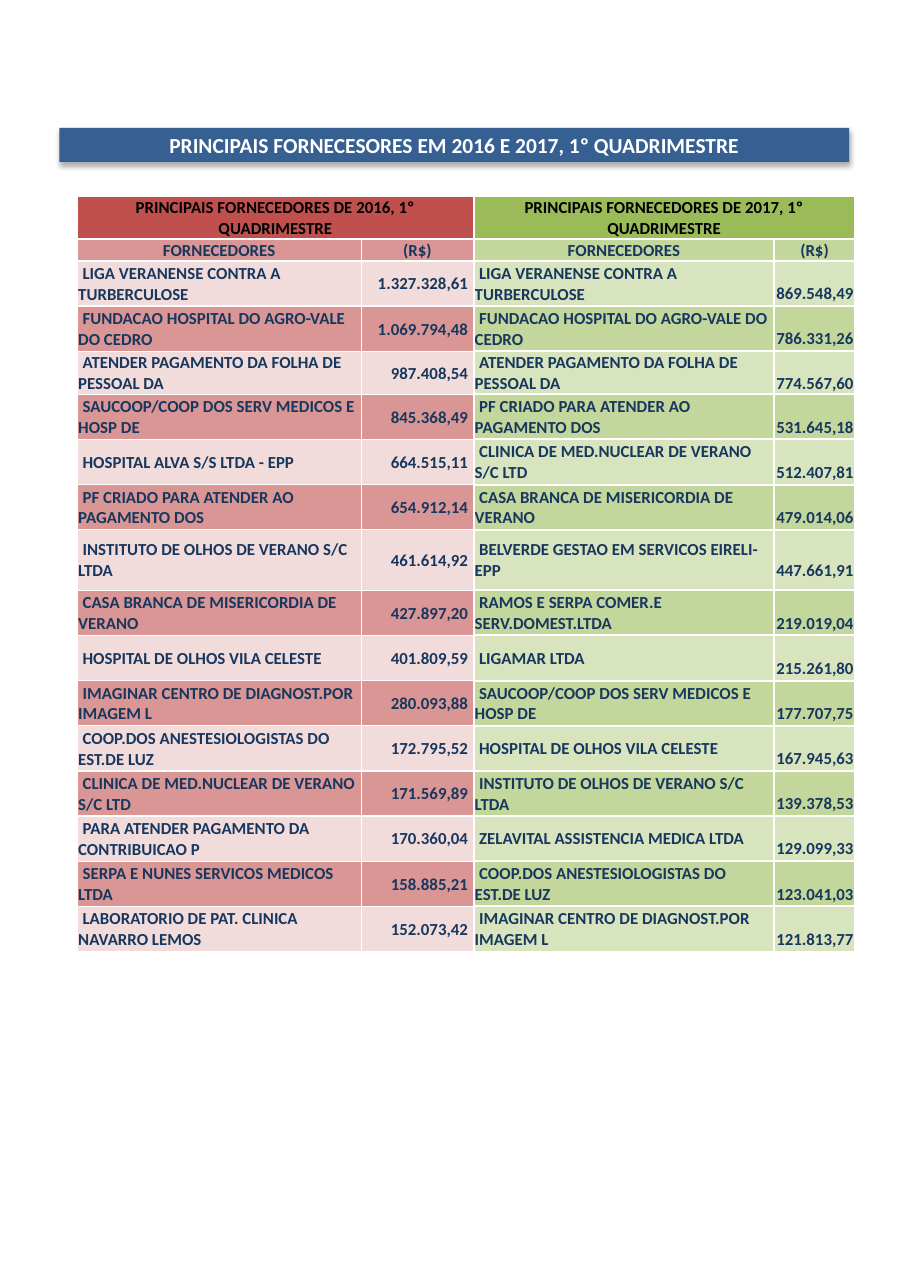
from lxml import etree
from pptx import Presentation
from pptx.dml.color import RGBColor as RGB
from pptx.enum.shapes import MSO_SHAPE as SHAPE
from pptx.enum.text import MSO_ANCHOR as ANCHOR, PP_ALIGN as ALIGN
from pptx.oxml.ns import qn
from pptx.util import Inches, Pt

WHITE, BLACK, NAVY = "FFFFFF", "000000", "17375E"
WIDTHS = [2.58, 1.02, 2.73, 0.73]
TALL = {0: 0.39, 1: 0.19, 4: 0.39, 8: 0.55}
HEADS = [
    ("PRINCIPAIS FORNECEDORES DE 2016, 1º QUADRIMESTRE", "C0504D"),
    ("PRINCIPAIS FORNECEDORES DE 2017, 1º QUADRIMESTRE", "9BBB59"),
]
BANDS = [("F2DCDB", "D99694"), ("D7E4BD", "C3D69B")]
ROWS = [
    ("LIGA VERANENSE CONTRA A TURBERCULOSE", "1.327.328,61",
     "LIGA VERANENSE CONTRA A TURBERCULOSE", "869.548,49"),
    ("FUNDACAO HOSPITAL DO AGRO-VALE DO CEDRO", "1.069.794,48",
     "FUNDACAO HOSPITAL DO AGRO-VALE DO CEDRO", "786.331,26"),
    ("ATENDER PAGAMENTO DA FOLHA DE PESSOAL DA", "987.408,54",
     "ATENDER PAGAMENTO DA FOLHA DE PESSOAL DA", "774.567,60"),
    ("SAUCOOP/COOP DOS SERV MEDICOS E HOSP DE", "845.368,49",
     "PF CRIADO PARA ATENDER AO PAGAMENTO DOS", "531.645,18"),
    ("HOSPITAL ALVA S/S LTDA - EPP", "664.515,11",
     "CLINICA DE MED.NUCLEAR DE VERANO S/C LTD", "512.407,81"),
    ("PF CRIADO PARA ATENDER AO PAGAMENTO DOS", "654.912,14",
     "CASA BRANCA DE MISERICORDIA DE VERANO", "479.014,06"),
    ("INSTITUTO DE OLHOS DE VERANO S/C LTDA", "461.614,92",
     "BELVERDE GESTAO EM SERVICOS EIRELI-EPP", "447.661,91"),
    ("CASA BRANCA DE MISERICORDIA DE VERANO", "427.897,20",
     "RAMOS E SERPA COMER.E SERV.DOMEST.LTDA", "219.019,04"),
    ("HOSPITAL DE OLHOS VILA CELESTE", "401.809,59",
     "LIGAMAR LTDA", "215.261,80"),
    ("IMAGINAR CENTRO DE DIAGNOST.POR IMAGEM L", "280.093,88",
     "SAUCOOP/COOP DOS SERV MEDICOS E HOSP DE", "177.707,75"),
    ("COOP.DOS ANESTESIOLOGISTAS DO EST.DE LUZ", "172.795,52",
     "HOSPITAL DE OLHOS VILA CELESTE", "167.945,63"),
    ("CLINICA DE MED.NUCLEAR DE VERANO S/C LTD", "171.569,89",
     "INSTITUTO DE OLHOS DE VERANO S/C LTDA", "139.378,53"),
    ("PARA ATENDER PAGAMENTO DA CONTRIBUICAO P", "170.360,04",
     "ZELAVITAL ASSISTENCIA MEDICA LTDA", "129.099,33"),
    ("SERPA E NUNES SERVICOS MEDICOS LTDA", "158.885,21",
     "COOP.DOS ANESTESIOLOGISTAS DO EST.DE LUZ", "123.041,03"),
    ("LABORATORIO DE PAT. CLINICA NAVARRO LEMOS", "152.073,42",
     "IMAGINAR CENTRO DE DIAGNOST.POR IMAGEM L", "121.813,77"),
]


def color(hex):
    """Turn a hex string into a colour."""
    return RGB.from_string(hex)


def paint(item, hex):
    """Give a shape or cell a solid fill."""
    item.fill.solid()
    item.fill.fore_color.rgb = color(hex)


def write(frame, text, size, hex, align):
    """Write one bold paragraph and return it."""
    para = frame.paragraphs[0]
    para.text, para.alignment = text, align
    font = para.runs[0].font
    for key, val in {"name": "Calibri", "size": Pt(size), "bold": True}.items():
        setattr(font, key, val)
    font.color.rgb = color(hex)
    return para


def node(root, tag, **attrs):
    """Add a drawing element below another."""
    return etree.SubElement(root, qn(tag), {k: str(v) for k, v in attrs.items()})


def shade(shape):
    """Give a shape a soft shadow below it."""
    shape.shadow.inherit = False
    glow = node(shape._element.spPr.find(qn("a:effectLst")), "a:outerShdw",
                blurRad=Pt(3.5), dist=Pt(2.2), dir=5400000, rotWithShape=0)
    node(node(glow, "a:srgbClr", val=BLACK), "a:alpha", val=32000)


def edge(cell, sides):
    """Draw white borders of the given widths around a cell."""
    props = cell._tc.get_or_add_tcPr()
    for spot, (side, width) in enumerate(sides.items()):
        line = etree.Element(qn(f"a:ln{side}"), {"w": str(Pt(width))})
        node(node(line, "a:solidFill"), "a:srgbClr", val=WHITE)
        props.insert(spot, line)


def fill_cell(cell, text, hex, ink=NAVY, align=ALIGN.CENTER, top=0.01, right=0.01):
    """Fill one table cell and return its paragraph."""
    form = {"margin_left": Inches(0.01), "margin_right": Inches(right),
            "margin_top": Inches(top), "margin_bottom": 0,
            "vertical_anchor": ANCHOR.MIDDLE}
    for key, val in form.items():
        setattr(cell, key, val)
    paint(cell, hex)
    return write(cell.text_frame, text, 11, ink, align)


def banner(slide, box):
    """Place the title bar."""
    bar = slide.shapes.add_shape(SHAPE.RECTANGLE, *map(Inches, box))
    paint(bar, "376092")
    bar.line.fill.background()
    shade(bar)
    bar.text_frame.word_wrap = True
    bar.text_frame.vertical_anchor = ANCHOR.MIDDLE
    write(bar.text_frame, "PRINCIPAIS FORNECESORES EM 2016 E 2017, 1º QUADRIMESTRE",
          14, WHITE, ALIGN.CENTER)


def ranking(slide, box):
    """Place the table of suppliers for both years."""
    count = len(ROWS) + 2
    grid = slide.shapes.add_table(count, len(WIDTHS), *map(Inches, box)).table
    for col, width in zip(grid.columns, WIDTHS):
        col.width = Inches(width)
    for num, row in enumerate(grid.rows):
        row.height = Inches(TALL.get(num, 0.41))
    for half, (head, hex) in enumerate(HEADS):
        name, cash = 2 * half, 2 * half + 1
        light, dark = BANDS[half]
        grid.cell(0, name).merge(grid.cell(0, cash))
        fill_cell(grid.cell(0, name), head, hex, BLACK)
        fill_cell(grid.cell(1, name), "FORNECEDORES", dark)
        fill_cell(grid.cell(1, cash), "(R$)", dark)
        for num, data in enumerate(ROWS):
            tone = dark if num % 2 else light
            para = fill_cell(grid.cell(num + 2, name), data[name], tone, align=ALIGN.LEFT)
            para._p.get_or_add_pPr().set("indent", str(Inches(0.04)))
            fill_cell(grid.cell(num + 2, cash), data[cash], tone, align=ALIGN.RIGHT,
                      top=0.19 if half else 0.01, right=0.01 if half else 0.05)
    for num in range(count):
        for col in range(len(WIDTHS)):
            thin = 1.5 if col > 1 else 1
            edge(grid.cell(num, col), {
                "L": thin, "R": 1 if col == 0 and num else 1.5,
                "T": 1.5 if num == 1 else thin, "B": 1.5 if num == 0 else thin})


def main():
    """Build the slide and save it."""
    deck = Presentation()
    deck.slide_width, deck.slide_height = Inches(8.27), Inches(11.69)
    slide = deck.slides.add_slide(deck.slide_layouts[6])
    banner(slide, (0.54, 1.16, 7.17, 0.31))
    ranking(slide, (0.7, 1.78, 7.06, 6.85))
    deck.save("out.pptx")


if __name__ == "__main__":
    main()
